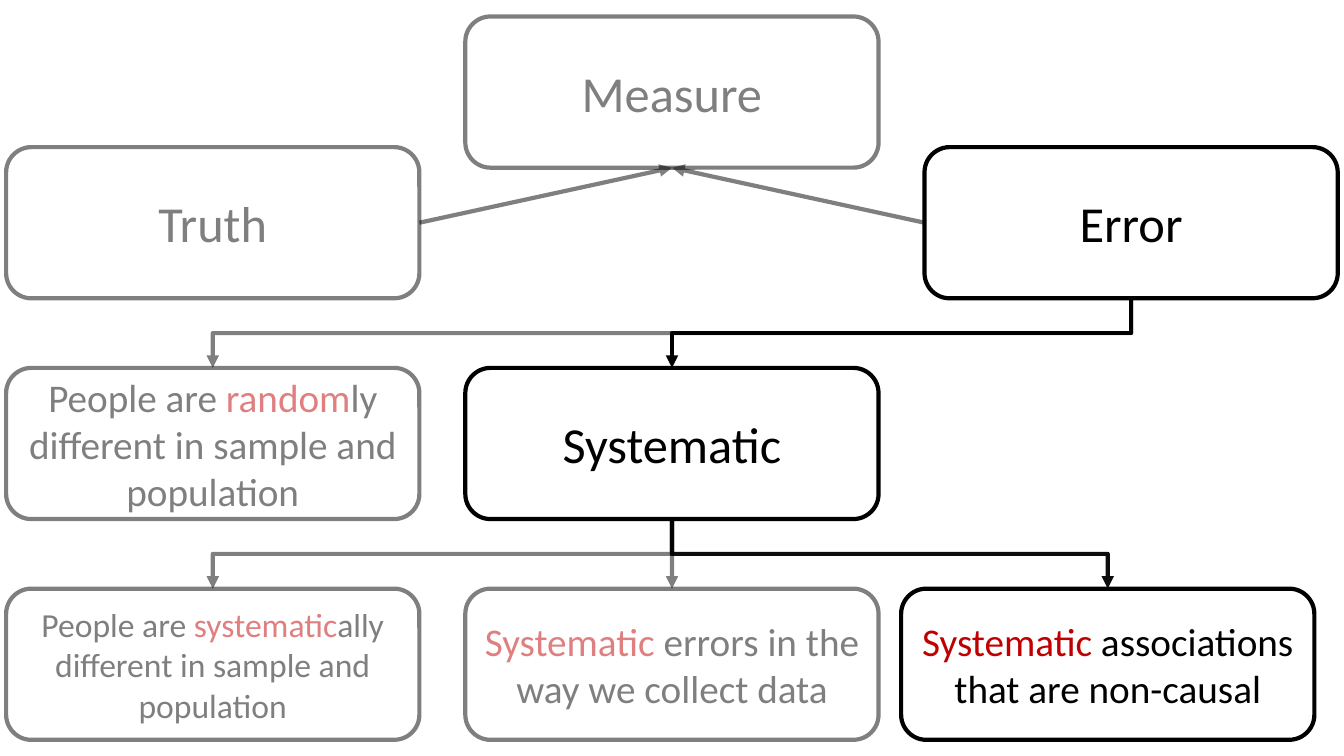
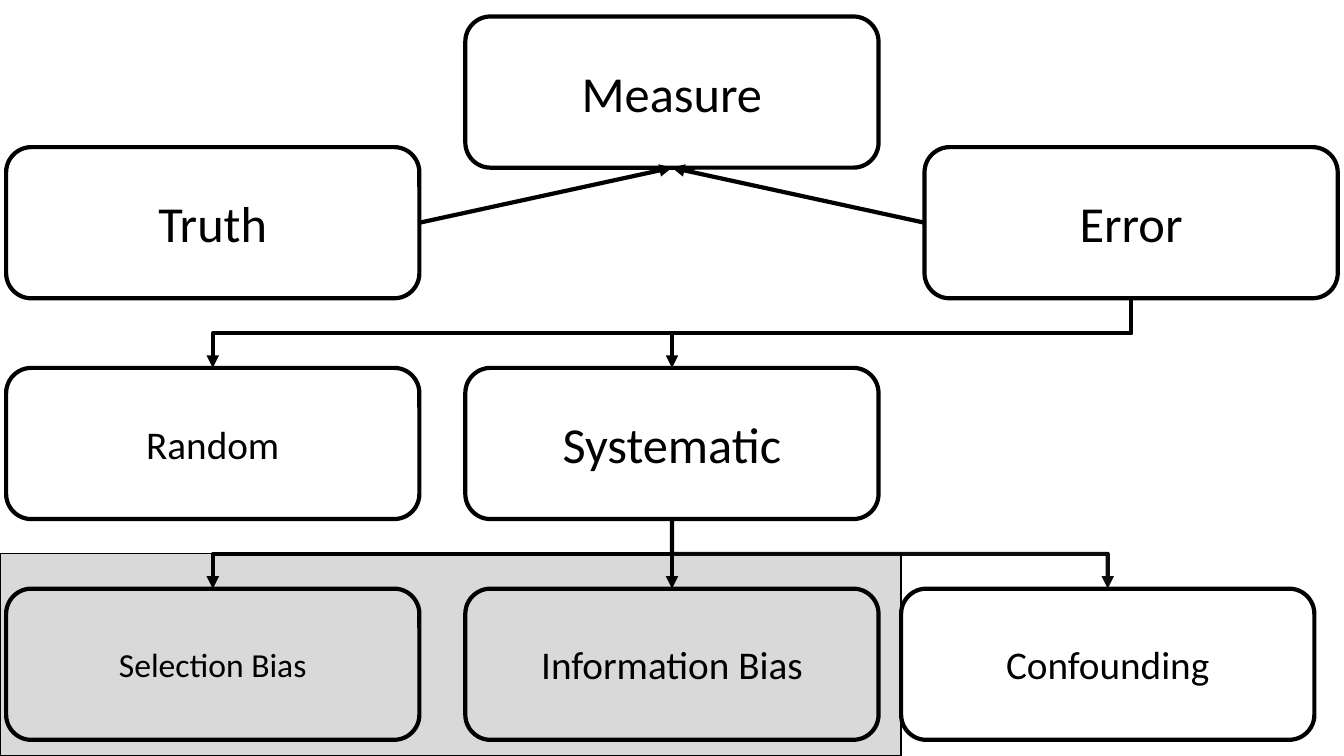
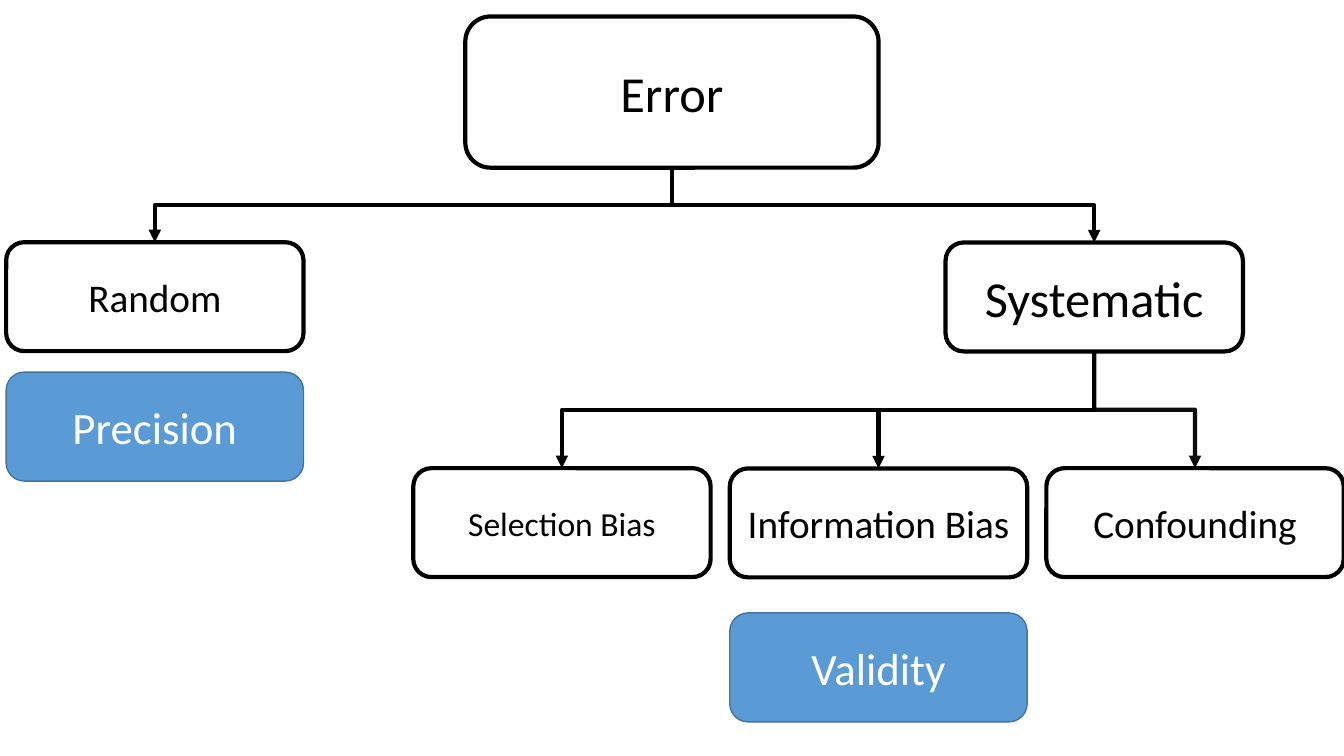
from lxml import etree
from pptx import Presentation
from pptx.dml.color import RGBColor
from pptx.enum import shapes, text
from pptx.oxml.ns import qn
from pptx.util import Pt

COLOURS = {"ink": "000000", "key": "C00000", "band": "D9D9D9",
           "accent": "5B9BD5", "accent_edge": "43739E", "white": "FFFFFF"}
FONT = "Calibri"
FADED, SOFT, SOLID = 50, 95, 100

# Box places: left, top, width, height
WIDE, SMALL = (295.2, 108), (212.4, 77.8)
COLUMNS = [4.4 + 328 * column for column in range(3)]
ROWS = [105.1 + 157.7 * row for row in range(3)]
BIASES = [295.2 + 226.1 * column for column in range(3)]
MEASURE_TREE = {
    "measure": (COLUMNS[1], 11.8, *WIDE),
    "truth": (COLUMNS[0], ROWS[0], *WIDE),
    "error": (COLUMNS[2], ROWS[0], *WIDE),
    "random": (COLUMNS[0], ROWS[1], *WIDE),
    "systematic": (COLUMNS[1], ROWS[1], *WIDE),
    "selection": (COLUMNS[0], ROWS[2], *WIDE),
    "information": (COLUMNS[1], ROWS[2], *WIDE),
    "confounding": (643.7, ROWS[2], *WIDE),
}
ERROR_TREE = {
    "error": (COLUMNS[1], 11.8, *WIDE),
    "random": (COLUMNS[0], 173, *SMALL),
    "systematic": (675.4, 173.2, *SMALL),
    "selection": (BIASES[0], 334.4, *SMALL),
    "information": (BIASES[1], 334.6, *SMALL),
    "confounding": (BIASES[2], 334.4, *SMALL),
    "precision": (COLUMNS[0], 265.8, *SMALL),
    "validity": (BIASES[1], 437.8, *SMALL),
}

# Links: source, target, opacity
BIAS_LINKS = [("systematic", "information", SOLID),
              ("systematic", "selection", SOLID),
              ("systematic", "confounding", SOFT)]
MEASURE_LINKS = [("error", "measure", SOLID), ("truth", "measure", SOLID),
                 ("error", "random", SOLID), ("error", "systematic", SOLID),
                 *BIAS_LINKS]
ERROR_LINKS = [("error", "random", SOLID), ("error", "systematic", SOLID),
               *BIAS_LINKS]

# Labels: text size, then runs of (text, colour)
SIZES = {"measure": 36, "truth": 36, "error": 36, "systematic": 36,
         "random": 28, "information": 28, "confounding": 28,
         "selection": 24, "precision": 32, "validity": 32}
NAMES = {"measure": "Measure", "truth": "Truth", "error": "Error",
         "random": "Random", "systematic": "Systematic",
         "selection": "Selection Bias", "information": "Information Bias",
         "confounding": "Confounding", "precision": "Precision",
         "validity": "Validity"}
EXPLANATIONS = {
    "random": [("People are ", "ink"), ("random", "key"),
               ("ly different in sample and population", "ink")],
    "selection": [("People are ", "ink"), ("systematic", "key"),
                  ("ally different in sample and population", "ink")],
    "information": [("Systematic ", "key"),
                    ("errors in the way we collect data", "ink")],
    "confounding": [("Systematic", "key"),
                    (" associations that are non-causal", "ink")],
}
BIAS_BAND = (0, 395.5, 643.7, 144.5)

SLIDES = [
    {"places": MEASURE_TREE, "links": MEASURE_LINKS, "labels": EXPLANATIONS,
     "active": {"error", "systematic", "confounding"}},
    {"places": MEASURE_TREE, "links": MEASURE_LINKS, "band": BIAS_BAND},
    {"places": ERROR_TREE, "links": ERROR_LINKS},
]
PLAIN = {"fill": None, "line": "ink", "width": 3, "text": "ink"}
GOAL = {"fill": "accent", "line": "accent_edge", "width": 1, "text": "white"}
BAND = {"fill": "band", "line": "ink", "width": 1}
STYLES = {"precision": GOAL, "validity": GOAL}


def rgb(name):
    """Return the named colour."""
    return RGBColor.from_string(COLOURS[name])


def assign(target, values):
    """Set attributes from a dict."""
    for name, value in values.items():
        setattr(target, name, value)


def set_opacity(shape, percent):
    """Make every colour of a shape partly transparent."""
    if percent < 100:
        for colour in shape._element.iter(qn("a:srgbClr")):
            etree.SubElement(colour, qn("a:alpha"), val=str(percent * 1000))


def add_box(slide, kind, place, style):
    """Add a filled or open shape with an outline."""
    shape = slide.shapes.add_shape(kind, *map(Pt, place))
    shape.shadow.inherit = False
    if style["fill"]:
        shape.fill.solid()
        shape.fill.fore_color.rgb = rgb(style["fill"])
    else:
        shape.fill.background()
    shape.line.color.rgb = rgb(style["line"])
    shape.line.width = Pt(style["width"])
    return shape


def add_node(slide, place, runs, size, style, opacity):
    """Add a rounded box with a centred label."""
    shape = add_box(slide, shapes.MSO_SHAPE.ROUNDED_RECTANGLE, place, style)
    assign(shape.text_frame, {"word_wrap": True,
                              "vertical_anchor": text.MSO_ANCHOR.MIDDLE})
    paragraph = shape.text_frame.paragraphs[0]
    paragraph.alignment = text.PP_ALIGN.CENTER
    for words, colour in runs:
        run = paragraph.add_run()
        run.text = words
        assign(run.font, {"name": FONT, "size": Pt(size)})
        run.font.color.rgb = rgb(colour)
    set_opacity(shape, opacity)


def add_arrow(slide, kind, points, opacity, rotation=0):
    """Add a connector with an arrowhead at its end."""
    arrow = slide.shapes.add_connector(kind, *map(Pt, points))
    arrow.rotation = rotation
    arrow.line.color.rgb = rgb("ink")
    arrow.line.width = Pt(3)
    etree.SubElement(arrow.line._get_or_add_ln(), qn("a:tailEnd"), type="triangle")
    etree.SubElement(arrow._element.spPr, qn("a:effectLst"))
    set_opacity(arrow, opacity)


def add_link(slide, source, target, opacity):
    """Link two boxes: sideways up to a parent, or down to a child."""
    left, top, width, height = source
    end_x = target[0] + target[2] / 2
    straight = shapes.MSO_CONNECTOR.STRAIGHT
    if target[1] < top:
        start_x = left if left > end_x else left + width
        points = (start_x, top + height / 2, end_x, target[1] + target[3])
        add_arrow(slide, straight, points, opacity)
        return
    start_x, start_y, end_y = left + width / 2, top + height, target[1]
    if abs(start_x - end_x) < 1:
        add_arrow(slide, straight, (start_x, start_y, end_x, end_y), opacity)
        return
    # An elbow leaves horizontally, so it is laid out on its side and turned
    middle_x, middle_y = (start_x + end_x) / 2, (start_y + end_y) / 2
    goes_left = end_x < start_x
    reach = (end_y - start_y) / 2 * (1 if goes_left else -1)
    spread = abs(end_x - start_x) / 2
    points = (middle_x - reach, middle_y - spread,
              middle_x + reach, middle_y + spread)
    add_arrow(slide, shapes.MSO_CONNECTOR.ELBOW, points, opacity,
              90 if goes_left else 270)


def build_slide(presentation, content):
    """Draw one tree of boxes and links."""
    slide = presentation.slides.add_slide(presentation.slide_layouts[6])
    places = content["places"]
    active = content.get("active", set(places))
    labels = content.get("labels", {})
    if "band" in content:
        add_box(slide, shapes.MSO_SHAPE.RECTANGLE, content["band"], BAND)
    for name, place in places.items():
        style = STYLES.get(name, PLAIN)
        runs = labels.get(name, [(NAMES[name], style["text"])])
        add_node(slide, place, runs, SIZES[name], style,
                 SOLID if name in active else FADED)
    for source, target, opacity in content["links"]:
        shown = opacity if {source, target} <= active else FADED
        add_link(slide, places[source], places[target], shown)


presentation = Presentation()
assign(presentation, {"slide_width": Pt(960), "slide_height": Pt(540)})
for content in SLIDES:
    build_slide(presentation, content)
presentation.save("out.pptx")
